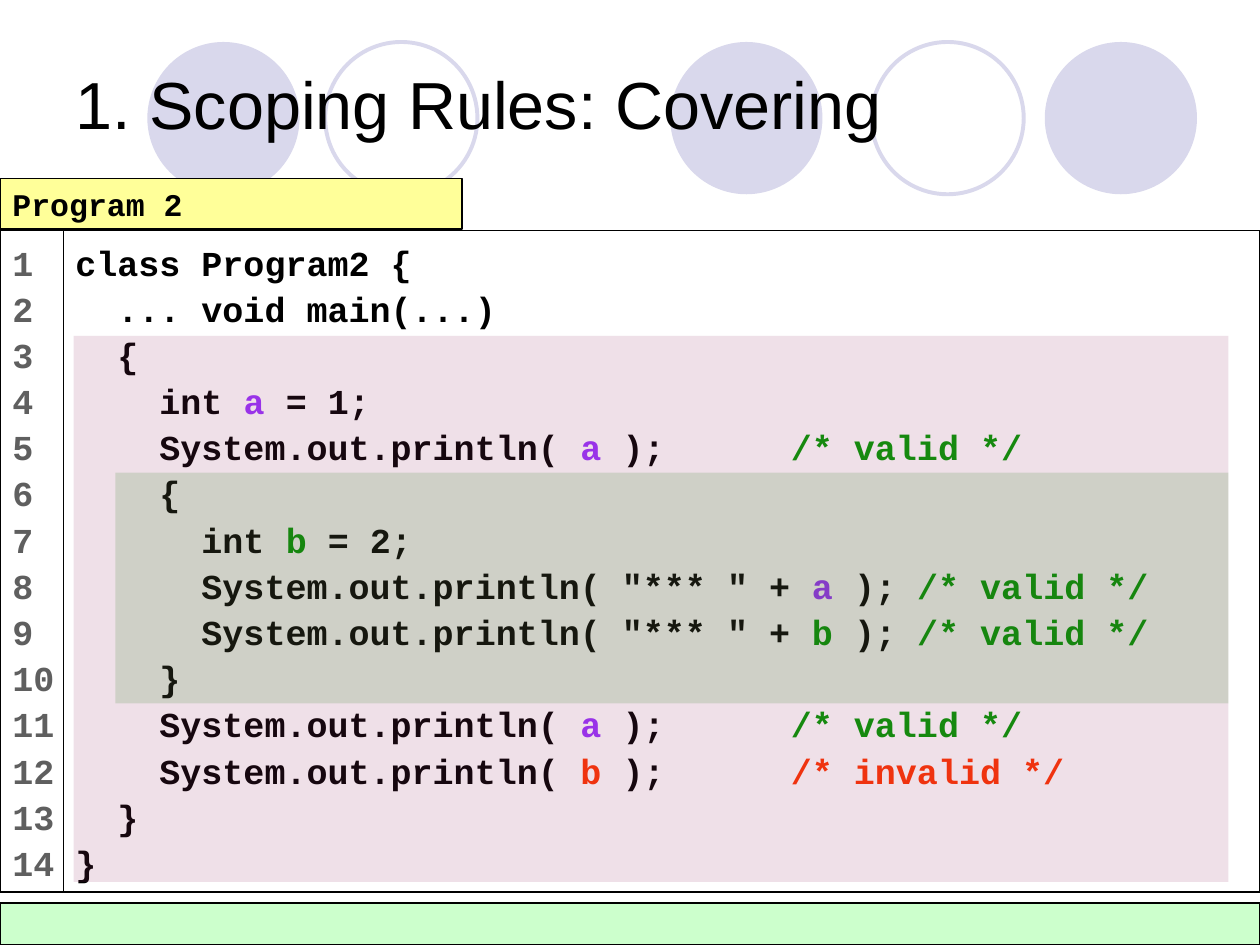
"""Build the scoping rules slide with its annotated program listing."""
from lxml.etree import SubElement
from pptx import Presentation
from pptx.dml.color import RGBColor
from pptx.enum.shapes import MSO_SHAPE as Shape
from pptx.enum.text import MSO_ANCHOR as Anchor, MSO_AUTO_SIZE as AutoSize, PP_ALIGN as Align
from pptx.oxml.ns import qn
from pptx.util import Pt

BLACK = RGBColor(0x00, 0x00, 0x00)
WHITE = RGBColor(0xFF, 0xFF, 0xFF)
GRAY = RGBColor(0x5F, 0x5F, 0x5F)
LAVENDER = RGBColor(0xD9, 0xD8, 0xEC)
YELLOW = RGBColor(0xFF, 0xFF, 0x99)
MINT = RGBColor(0xCC, 0xFF, 0xCC)
PURPLE = RGBColor(0x99, 0x33, 0xFF)
GREEN = RGBColor(0x00, 0x99, 0x00)
RED = RGBColor(0xFF, 0x33, 0x00)
INNER_SCOPE = RGBColor(0x00, 0x80, 0x00)
OUTER_SCOPE = RGBColor(0x99, 0x33, 0x66)

W, H = 720, 540
GUTTER = 36.5
CODE_TOP, CODE_H = 131.8, 378
SCOPE_RIGHT = 702

VALID = ("/* valid */", GREEN)
PRINT_A = [("    System.out.println( ", BLACK), ("a ", PURPLE), (");      ", BLACK), VALID]
PRINT_INNER = ('      System.out.println( "*** " + ', BLACK)
CODE = [
    [("class Program2 {", BLACK)],
    [("  ... void main(...)", BLACK)],
    [("  {", BLACK)],
    [("    int ", BLACK), ("a", PURPLE), (" = 1;", BLACK)],
    PRINT_A,
    [("    {", BLACK)],
    [("      int ", BLACK), ("b", GREEN), (" = 2;", BLACK)],
    [PRINT_INNER, ("a ", PURPLE), ("); ", BLACK), VALID],
    [PRINT_INNER, ("b ", GREEN), ("); ", BLACK), VALID],
    [("    }", BLACK)],
    PRINT_A,
    [("    System.out.println( ", BLACK), ("b ", RED), (");      ", BLACK),
     ("/* invalid */", RED)],
    [("  }", BLACK)],
    [("}", BLACK)],
]


class Deck:
    """Hold the slide style and draw each kind of element on the current slide."""

    heading_font = "Arial"
    code_font = "Courier New"

    def __init__(self):
        self.prs = Presentation()
        self.prs.slide_width, self.prs.slide_height = Pt(W), Pt(H)
        self.s = self.prs.slides.add_slide(self.prs.slide_layouts[5])

    def shape(self, kind, x, y, w, h, fill=None, line=None, weight=0.75):
        sp = self.s.shapes.add_shape(kind, Pt(x), Pt(y), Pt(w), Pt(h))
        sp.shadow.inherit = False
        if fill is None:
            sp.fill.background()
        else:
            sp.fill.solid()
            sp.fill.fore_color.rgb = fill
        if line is None:
            sp.line.fill.background()
        else:
            sp.line.color.rgb = line
            sp.line.width = Pt(weight)
        return sp

    def circle(self, x, filled):
        fill, line = (LAVENDER, None) if filled else (None, LAVENDER)
        self.shape(Shape.OVAL, x, 24, 87, 87, fill, line, 2.25)

    def run(self, p, text, size, color, font, bold=False):
        r = p.add_run()
        r.text = text
        r.font.name, r.font.size, r.font.bold = font, Pt(size), bold
        r.font.color.rgb = color

    def title(self, text):
        sp = self.s.shapes.title
        sp.left, sp.top, sp.width, sp.height = Pt(36), Pt(21.6), Pt(648), Pt(74)
        tf = sp.text_frame
        tf.auto_size = AutoSize.NONE
        tf.vertical_anchor = Anchor.MIDDLE
        p = tf.paragraphs[0]
        p.alignment = Align.LEFT
        self.run(p, text, 38, BLACK, self.heading_font)
        self.s.shapes.element.append(sp.element)

    def listing(self, x, y, w, h, lines, fill=WHITE, size=20, spacing=1.1, right=7.2):
        sp = self.shape(Shape.RECTANGLE, x, y, w, h, fill, BLACK)
        tf = sp.text_frame
        tf.word_wrap = True
        tf.vertical_anchor = Anchor.TOP
        tf.margin_left, tf.margin_right = Pt(7.2), Pt(right)
        tf.margin_top = tf.margin_bottom = Pt(3.6)
        for i, runs in enumerate(lines):
            p = tf.add_paragraph() if i else tf.paragraphs[0]
            p.alignment = Align.LEFT
            p.line_spacing = spacing
            for text, color in runs:
                self.run(p, text, size, color, self.code_font, True)

    def scope(self, x, y, h, color):
        sp = self.shape(Shape.RECTANGLE, x, y, SCOPE_RIGHT - x, h, color)
        clr = sp.fill._xPr.find(qn("a:solidFill")).find(qn("a:srgbClr"))
        SubElement(clr, qn("a:alpha")).set("val", "15000")


def main():
    deck = Deck()
    for x, filled in [(383, True), (597, True), (84.2, True), (498, False), (185.8, False)]:
        deck.circle(x, filled)
    deck.title("1. Scoping Rules: Covering")
    deck.listing(36, CODE_TOP, W - 36, CODE_H, CODE)
    numbers = [[(str(n), GRAY)] for n in range(1, len(CODE) + 1)]
    deck.listing(0, CODE_TOP, GUTTER, CODE_H, numbers, right=0)
    deck.listing(0, 102.2, 264, 28.8, [[("Program 2", BLACK)]], YELLOW, 18, 1)
    deck.shape(Shape.RECTANGLE, 0, 516, W, 24, MINT, BLACK)
    deck.scope(66, 270, 132, INNER_SCOPE)
    deck.scope(42, 192, 312, OUTER_SCOPE)
    deck.prs.save("out.pptx")


if __name__ == "__main__":
    main()
